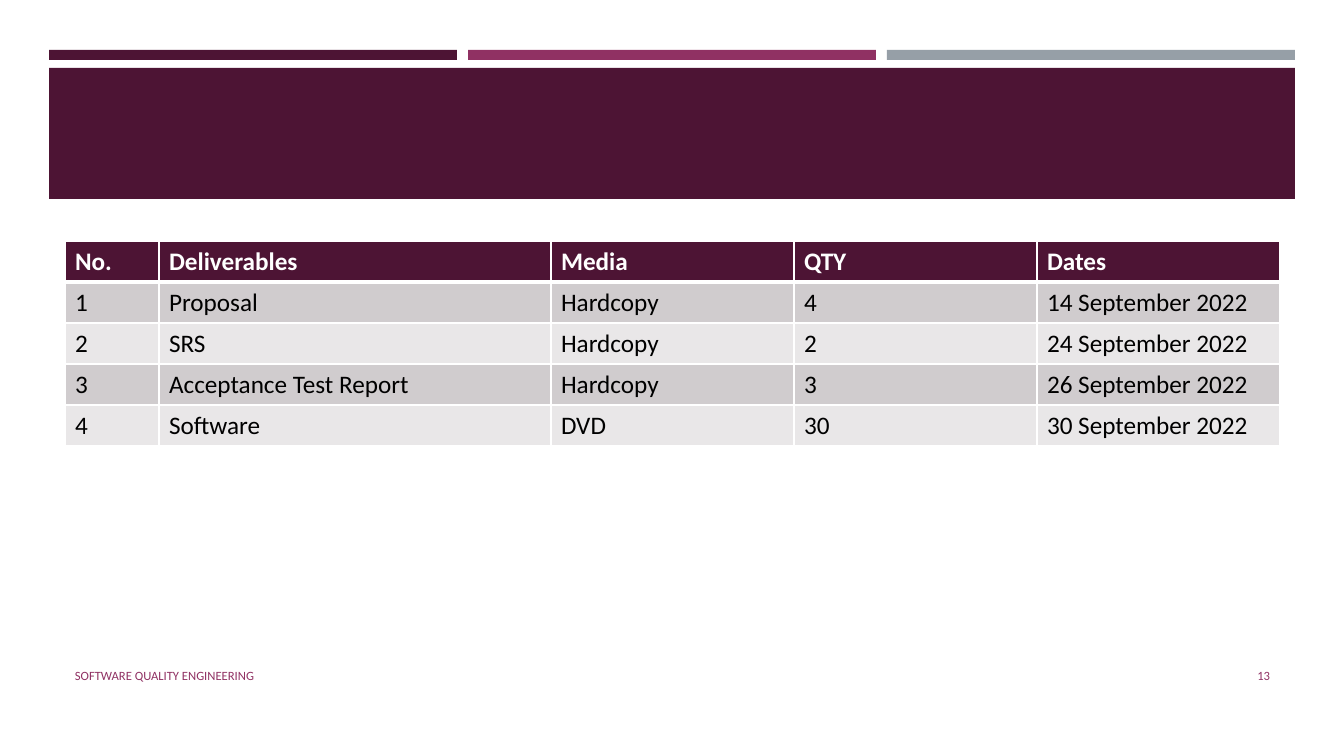
from dataclasses import dataclass

from lxml.etree import SubElement
from pptx import Presentation
from pptx.dml.color import RGBColor
from pptx.enum.shapes import MSO_SHAPE as Shape
from pptx.enum.text import MSO_ANCHOR as Anchor, PP_ALIGN as Align
from pptx.oxml.ns import qn
from pptx.util import Emu, Pt


@dataclass(frozen=True)
class Theme:
    font: str = "Calibri"
    plum: str = "4D1434"
    magenta: str = "903163"
    slate: str = "969FA7"
    white: str = "FFFFFF"
    black: str = "000000"
    bands: tuple = ("D0CCCE", "E9E7E8")
    table_size: int = 18
    footer_size: int = 9


THEME = Theme()
HEADERS = ("No.", "Deliverables", "Media", "QTY", "Dates")
DELIVERABLES = (
    ("1", "Proposal", "Hardcopy", "4", "14 September 2022"),
    ("2", "SRS", "Hardcopy", "2", "24 September 2022"),
    ("3", "Acceptance Test Report", "Hardcopy", "3", "26 September 2022"),
    ("4", "Software", "DVD", "30", "30 September 2022"),
)
COLUMN_WIDTHS = (94, 392, 243, 243, 243)


def px(length):
    return Emu(round(length * 914400 / 100.8))


def place(box):
    return [px(length) for length in box]


def style_text(frame, size, color, bold=False):
    for para in frame.paragraphs:
        for span in para.runs:
            span.font.name = THEME.font
            span.font.size = Pt(size)
            span.font.bold = bold
            span.font.color.rgb = RGBColor.from_string(color)


def add_block(page, box, color):
    block = page.shapes.add_shape(Shape.RECTANGLE, *place(box))
    block.shadow.inherit = False
    block.fill.solid()
    block.fill.fore_color.rgb = RGBColor.from_string(color)
    block.line.fill.background()


def add_banner(page, box):
    """Three accent bars above one solid title band."""
    left, top, width, height = box
    gap, bar_height, band_offset = 11, 10, 18
    colors = (THEME.plum, THEME.magenta, THEME.slate)
    bar_width = (width - gap * (len(colors) - 1)) // len(colors)
    for index, color in enumerate(colors):
        bar_left = left + index * (bar_width + gap)
        add_block(page, (bar_left, top, bar_width, bar_height), color)
    band = (left, top + band_offset, width, height - band_offset)
    add_block(page, band, THEME.plum)


def set_borders(cell, bottom, top):
    properties = cell._tc.get_or_add_tcPr()
    widths = {"a:lnL": 1, "a:lnR": 1, "a:lnT": top, "a:lnB": bottom}
    for tag, points in widths.items():
        line = SubElement(properties, qn(tag), w=str(Pt(points)))
        fill = SubElement(line, qn("a:solidFill"))
        SubElement(fill, qn("a:srgbClr"), val=THEME.white)


def add_deliverables(page, box):
    rows = (HEADERS, *DELIVERABLES)
    table = page.shapes.add_table(len(rows), len(HEADERS), *place(box)).table
    for column, width in zip(table.columns, COLUMN_WIDTHS):
        column.width = px(width)
    for row_index, values in enumerate(rows):
        header = row_index == 0
        fill = THEME.plum if header else THEME.bands[(row_index - 1) % 2]
        color = THEME.white if header else THEME.black
        table.rows[row_index].height = px(box[3] / len(rows))
        for column_index, value in enumerate(values):
            cell = table.cell(row_index, column_index)
            cell.text_frame.text = value
            style_text(cell.text_frame, THEME.table_size, color, header)
            set_borders(cell, bottom=3 if header else 1,
                        top=3 if row_index == 1 else 1)
            cell.fill.solid()
            cell.fill.fore_color.rgb = RGBColor.from_string(fill)


def add_footer(page, box):
    left, top, width, height = box
    name_width, number_width = 762, 116
    number_left = left + width - number_width
    parts = (
        ("SOFTWARE QUALITY ENGINEERING", left, name_width, Align.LEFT),
        ("13", number_left, number_width, Align.RIGHT),
    )
    for text, part_left, part_width, align in parts:
        part = (part_left, top, part_width, height)
        frame = page.shapes.add_textbox(*place(part)).text_frame
        frame.word_wrap = True
        frame.vertical_anchor = Anchor.MIDDLE
        frame.text = text
        frame.paragraphs[0].alignment = align
        style_text(frame, THEME.footer_size, THEME.magenta)


def main():
    deck = Presentation()
    deck.slide_width, deck.slide_height = px(1344), px(756)
    page = deck.slides.add_slide(deck.slide_layouts[6])
    add_banner(page, (49, 50, 1246, 149))
    add_deliverables(page, (65, 241, sum(COLUMN_WIDTHS), 205))
    add_footer(page, (65, 656, 1215, 40))
    deck.save("out.pptx")


if __name__ == "__main__":
    main()
